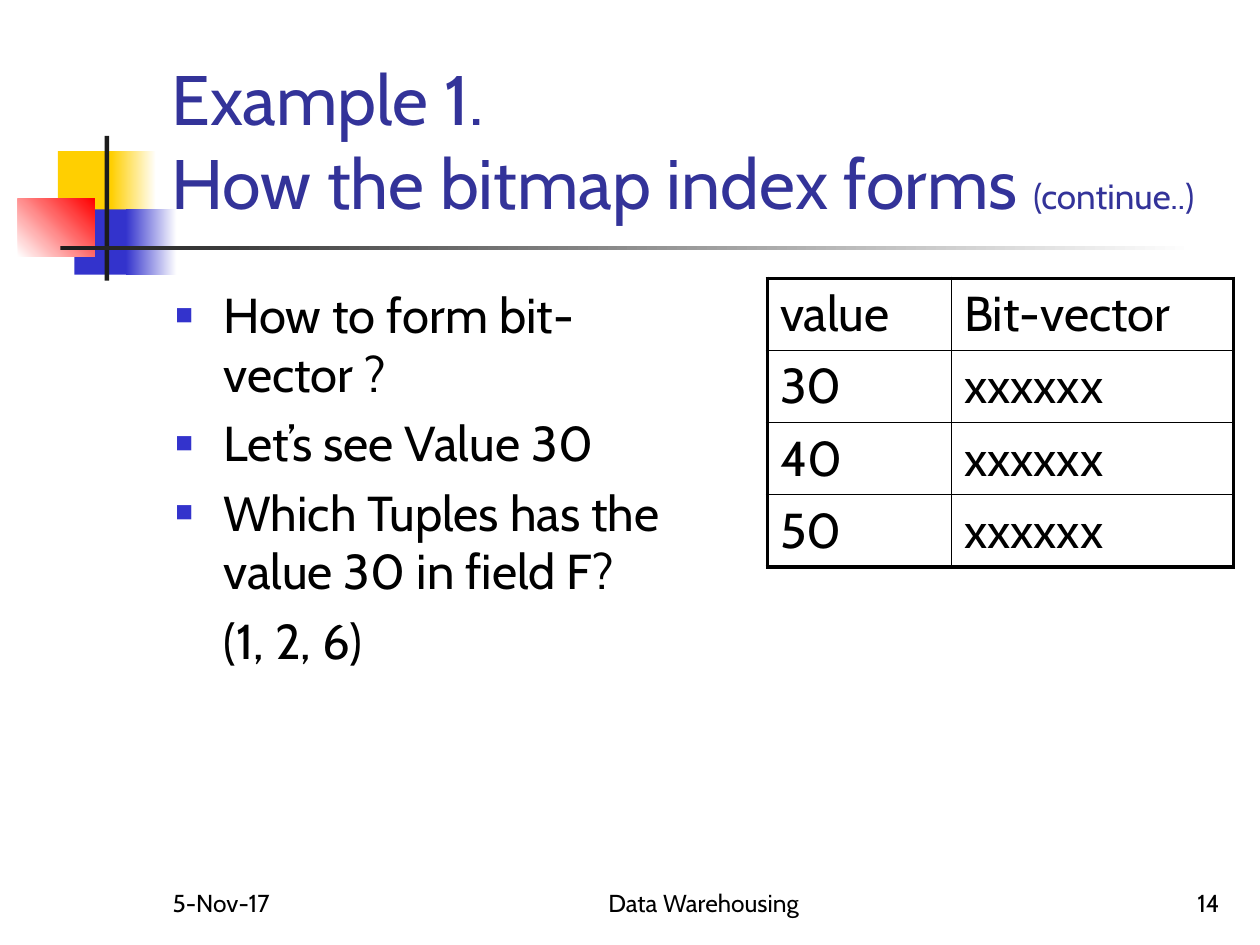
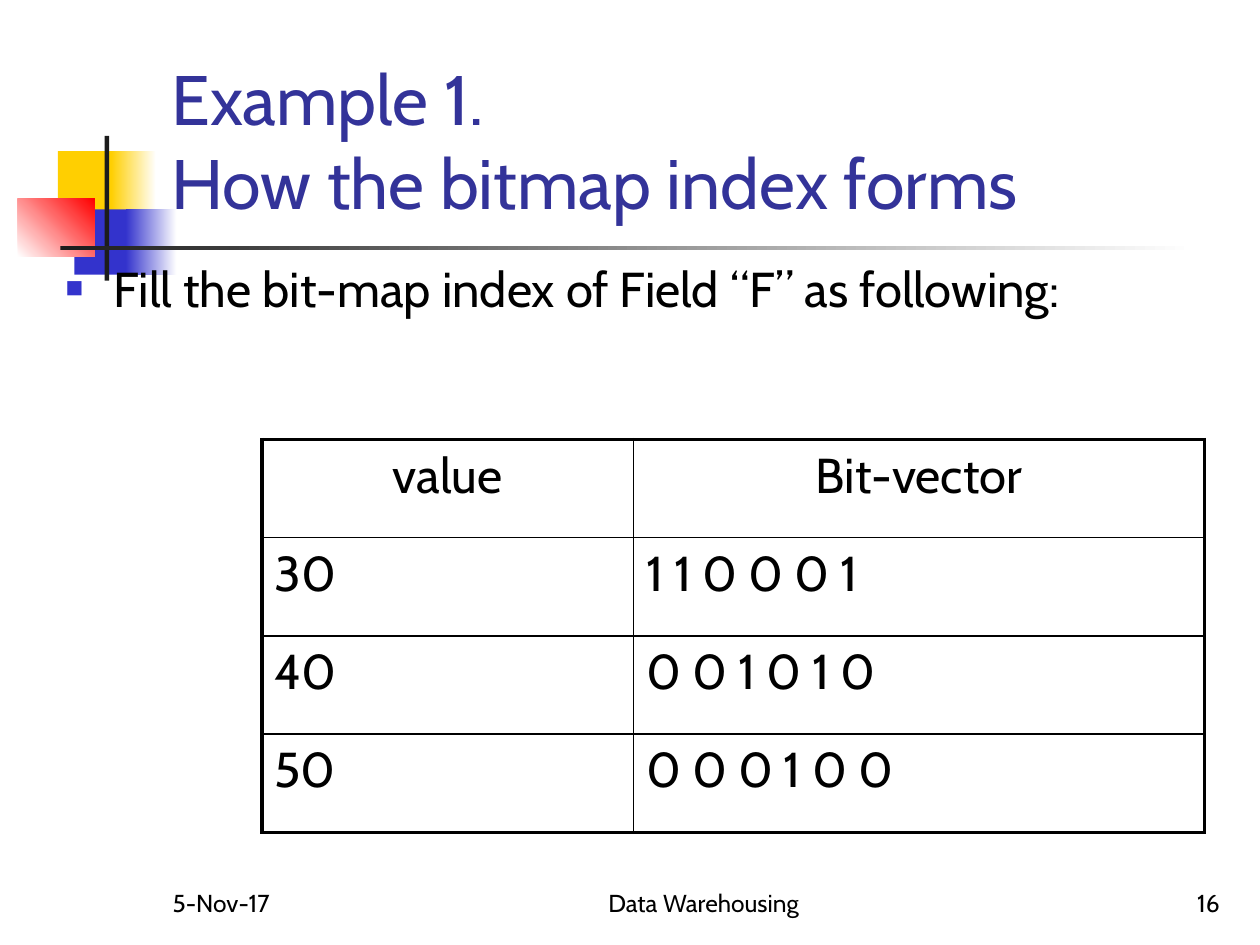
import pptx
import pptx.util
import pptx.dml.color
import pptx.enum.shapes
import pptx.enum.text
import pptx.oxml
import pptx.oxml.ns
from lxml import etree

Cm = pptx.util.Cm
Pt = pptx.util.Pt
ALIGN = pptx.enum.text.PP_ALIGN
ANCHOR = pptx.enum.text.MSO_ANCHOR
qn = pptx.oxml.ns.qn

FONT = "Cabin"
COLORS = {
    "text": "000000",
    "title": "333399",
    "blue": "3333CC",
    "yellow": "FFCF01",
    "red": "FF0000",
    "line": "1C1C1C",
    "white": "FFFFFF",
}
TITLE_BOX = (3.2, 0.58, 21.64, 4.06)
EMBLEM_ORIGIN = (0.36, 2.74)
FOOTER_BOX = (3.23, 17.35, 21.61, 1.27)
INDENT = 0.97
OUTER, INNER = 2.25, 1


def rgb(name):
    return pptx.dml.color.RGBColor.from_string(COLORS[name])


def place(sp, box):
    sp.left, sp.top, sp.width, sp.height = map(Cm, box)


def add_run(p, text, size, color="text"):
    r = p.add_run()
    r.text = text
    r.font.name = FONT
    r.font.size = Pt(size)
    r.font.color.rgb = rgb(color)


def prepare_frame(sp, anchor):
    tf = sp.text_frame
    tf.word_wrap = True
    tf.auto_size = pptx.enum.text.MSO_AUTO_SIZE.NONE
    tf.vertical_anchor = anchor
    return tf


def add_emblem(prs, s, origin):
    left, top = origin
    parts = [
        (0.81, 0.31, 1.22, 1.32, ["yellow"], 0),
        (1.88, 0.31, 0.91, 1.32, ["yellow", "white"], 0),
        (1.14, 1.48, 1.17, 1.32, ["blue"], 0),
        (2.18, 1.48, 1.02, 1.32, ["blue", "white"], 0),
        (0, 1.27, 1.55, 1.17, ["white", "red"], 45),
        (1.75, 0, 0.09, 2.92, ["line"], 0),
        (0.86, 2.21, 22.86, 0.09, ["line", "white"], 0),
    ]
    for i, (x, y, w, h, colors, angle) in enumerate(parts):
        sp = s.shapes.add_shape(
            pptx.enum.shapes.MSO_SHAPE.RECTANGLE,
            Cm(left + x), Cm(top + y), Cm(w), Cm(h))
        sp.shadow.inherit = False
        sp.line.fill.background()
        if len(colors) == 1:
            sp.fill.solid()
            sp.fill.fore_color.rgb = rgb(colors[0])
        else:
            sp.fill.gradient()
            sp.fill.gradient_angle = angle
            for stop, color in zip(sp.fill.gradient_stops, colors):
                stop.color.rgb = rgb(color)
        sp.element.xpath(".//p:cNvPr")[0].set("id", str(100 + i))
        prs.slide_master.shapes.element.insert(2 + i, sp.element)


def add_footer(s, box, number):
    left, top, width, height = box
    parts = [
        (0, 5.28, "5-Nov-17", ALIGN.LEFT),
        (6.93, 8.05, "Data Warehousing", ALIGN.CENTER),
        (width - 5.28, 5.28, number, ALIGN.RIGHT),
    ]
    for x, w, text, align in parts:
        sp = s.shapes.add_textbox(Cm(left + x), Cm(top), Cm(w), Cm(height))
        p = prepare_frame(sp, ANCHOR.BOTTOM).paragraphs[0]
        p.alignment = align
        add_run(p, text, 14)


def fill_title(s, box, suffix):
    sp = s.shapes.title
    place(sp, box)
    p = prepare_frame(sp, ANCHOR.BOTTOM).paragraphs[0]
    p.alignment = ALIGN.LEFT
    add_run(p, "Example 1.", 40, "title")
    p.add_line_break()
    add_run(p, "How the bitmap index forms" + (" " if suffix else ""), 40, "title")
    if suffix:
        add_run(p, suffix, 20, "title")


def set_bullet(p, bulleted):
    pPr = p._p.get_or_add_pPr()
    pPr.set("marL", str(Cm(INDENT)))
    pPr.set("indent", str(-Cm(INDENT) if bulleted else 0))
    if not bulleted:
        etree.SubElement(pPr, qn("a:buNone"))
        return
    clr = etree.SubElement(pPr, qn("a:buClr"))
    etree.SubElement(clr, qn("a:srgbClr"), val=COLORS["blue"])
    etree.SubElement(pPr, qn("a:buSzPct"), val="60000")
    etree.SubElement(pPr, qn("a:buChar"), char="■")


def fill_body(s, box, items):
    sp = s.placeholders[1]
    place(sp, box)
    tf = prepare_frame(sp, ANCHOR.TOP)
    for i, (text, bulleted) in enumerate(items):
        p = tf.add_paragraph() if i else tf.paragraphs[0]
        set_bullet(p, bulleted)
        p.space_before = Pt(6 if i else 0)
        add_run(p, text, 28)


def set_borders(cell, widths):
    tcPr = cell._tc.get_or_add_tcPr()
    for i, (side, width) in enumerate(widths.items()):
        ln = etree.Element(qn("a:ln" + side), w=str(Pt(width)))
        fill = etree.SubElement(ln, qn("a:solidFill"))
        etree.SubElement(fill, qn("a:srgbClr"), val=COLORS["text"])
        tcPr.insert(i, ln)


def add_index_table(s, origin, col_widths, row_height, vectors, header_align):
    rows = [("value", "Bit-vector"), *zip(("30", "40", "50"), vectors)]
    left, top = origin
    table = s.shapes.add_table(
        len(rows), len(col_widths), Cm(left), Cm(top),
        Cm(sum(col_widths)), Cm(row_height * len(rows))).table
    table.first_row = table.horz_banding = False
    for column, width in zip(table.columns, col_widths):
        column.width = Cm(width)
    for r, texts in enumerate(rows):
        table.rows[r].height = Cm(row_height)
        for c, text in enumerate(texts):
            cell = table.cell(r, c)
            cell.fill.background()
            set_borders(cell, {
                "L": OUTER if c == 0 else INNER,
                "R": OUTER if c == len(texts) - 1 else INNER,
                "T": OUTER if r == 0 else INNER,
                "B": OUTER if r == len(rows) - 1 else INNER,
            })
            p = cell.text_frame.paragraphs[0]
            p.alignment = ALIGN.LEFT if r else header_align
            add_run(p, text, 28)


def add_example_slide(prs, number, suffix, body_box, items):
    s = prs.slides.add_slide(prs.slide_layouts[1])
    add_footer(s, FOOTER_BOX, number)
    fill_title(s, TITLE_BOX, suffix)
    fill_body(s, body_box, items)
    return s


def main():
    prs = pptx.Presentation()
    prs.slide_width, prs.slide_height = Cm(25.4), Cm(19.05)

    s = add_example_slide(prs, "14", "(continue..)", (3.28, 5.61, 10.59, 7.7), [
        ("How to form bit-vector ?", True),
        ("Let’s see Value 30", True),
        ("Which Tuples has the value 30 in field F?", True),
        ("(1, 2, 6)", False),
    ])
    add_emblem(prs, s, EMBLEM_ORIGIN)
    add_index_table(s, (15.47, 5.61), (3.71, 5.69), 1.45,
                    ["xxxxxx"] * 3, ALIGN.LEFT)

    s = add_example_slide(prs, "16", "", (1.07, 5.08, 23.06, 3.61), [
        ("Fill the bit-map index of Field “F” as following:", True),
    ])
    add_index_table(s, (5.28, 8.86), (7.49, 11.51), 1.98,
                    ["1 1 0 0 0 1", "0 0 1 0 1 0", "0 0 0 1 0 0"], ALIGN.CENTER)

    prs.save("out.pptx")


if __name__ == "__main__":
    main()
